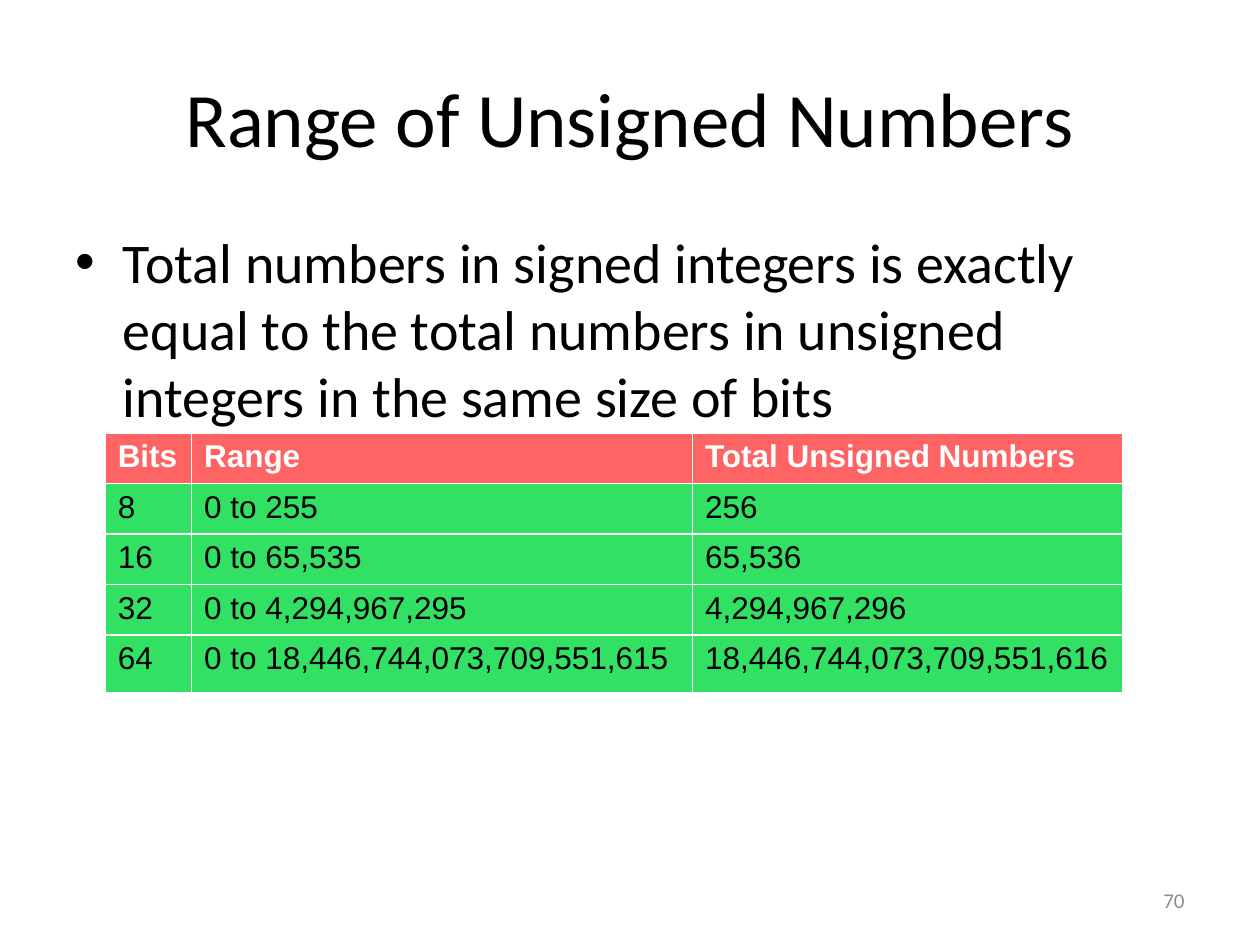
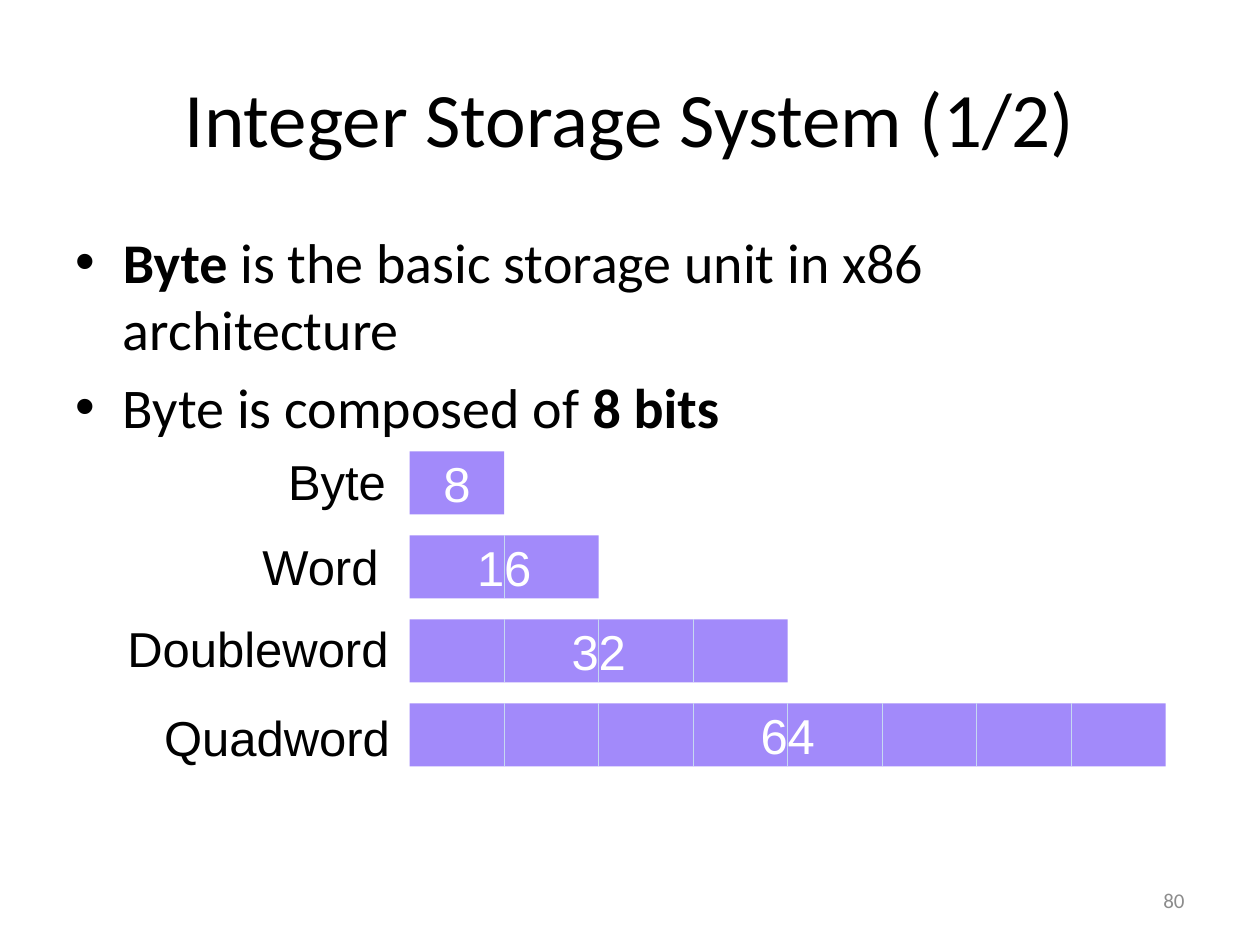
from lxml.etree import SubElement
from pptx import Presentation
from pptx.dml.color import RGBColor
from pptx.enum.shapes import MSO_CONNECTOR, MSO_SHAPE
from pptx.enum.text import MSO_ANCHOR, PP_ALIGN
from pptx.oxml.ns import qn
from pptx.util import Cm, Pt

BLACK = RGBColor(0x00, 0x00, 0x00)
WHITE = RGBColor(0xFF, 0xFF, 0xFF)
GRAY = RGBColor(0x8C, 0x8C, 0x8C)
RED = RGBColor(0xFF, 0x64, 0x64)
GREEN = RGBColor(0x32, 0xE1, 0x64)
PURPLE = RGBColor(0xA2, 0x8A, 0xFA)
PALE_BLUE = RGBColor(0xC6, 0xD9, 0xF1)

HEADING_FONT = "Calibri"
FIGURE_FONT = "Arial"

TITLE_BOX = (Cm(1.27), Cm(0.76), Cm(22.86), Cm(3.18))
BODY_BOX = (Cm(1.27), Cm(4.45), Cm(22.86), Cm(12.57))
NUMBER_BOX = (Cm(18.2), Cm(17.65), Cm(5.93), Cm(1.01))

RANGES = [
    ("Bits", "Range", "Total Unsigned Numbers"),
    ("8", "0 to 255", "256"),
    ("16", "0 to 65,535", "65,536"),
    ("32", "0 to 4,294,967,295", "4,294,967,296"),
    ("64", "0 to 18,446,744,073,709,551,615", "18,446,744,073,709,551,616"),
]

# name, size in bytes, label's right edge and top measured from the bar's corner
STORAGE_UNITS = [
    ("Byte", 1, Cm(-0.23), Cm(-0.12)),
    ("Word", 2, Cm(-0.38), Cm(-0.11)),
    ("Doubleword", 4, Cm(-0.18), Cm(-0.15)),
    ("Quadword", 8, Cm(-0.15), Cm(-0.05)),
]


def set_font(p, name, size, color, bold=None):
    p.font.name = name
    p.font.size = Pt(size)
    p.font.color.rgb = color
    p.font.bold = bold


def place(sp, box):
    sp.left, sp.top, sp.width, sp.height = box


def add_text(slide, box, text, font, size, color, anchor=MSO_ANCHOR.TOP):
    tf = slide.shapes.add_textbox(*box).text_frame
    tf.word_wrap = True
    tf.vertical_anchor = anchor
    p = tf.paragraphs[0]
    p.text = text
    p.alignment = PP_ALIGN.RIGHT
    set_font(p, font, size, color)


def add_base_slide(prs, title, bullets, number):
    """Add a slide with title, bullets of (text, bold) runs and page number."""
    slide = prs.slides.add_slide(prs.slide_layouts[1])
    heading, body = slide.placeholders
    place(heading, TITLE_BOX)
    p = heading.text_frame.paragraphs[0]
    p.text = title
    p.alignment = PP_ALIGN.CENTER
    set_font(p, HEADING_FONT, 44, BLACK)

    place(body, BODY_BOX)
    tf = body.text_frame
    for i, runs in enumerate(bullets):
        p = tf.add_paragraph() if i else tf.paragraphs[0]
        if i == 0:
            p.space_before = Pt(0)
        set_font(p, HEADING_FONT, 32, BLACK)
        for text, bold in runs:
            r = p.add_run()
            r.text = text
            if bold:
                r.font.bold = True

    add_text(slide, NUMBER_BOX, number, HEADING_FONT, 12, GRAY, MSO_ANCHOR.MIDDLE)
    return slide


def add_range_table(slide, left, top):
    widths = [Cm(1.74), Cm(10.1), Cm(8.68)]
    heights = [Cm(0.92)] * 4 + [Cm(1.16)]
    table = slide.shapes.add_table(len(heights), len(widths), left, top,
                                   sum(widths), sum(heights)).table
    table.horz_banding = False
    for column, width in zip(table.columns, widths):
        column.width = width
    for i, (row, height, values) in enumerate(zip(table.rows, heights, RANGES)):
        row.height = height
        header = i == 0
        for cell, value in zip(row.cells, values):
            cell.fill.solid()
            cell.fill.fore_color.rgb = RED if header else GREEN
            p = cell.text_frame.paragraphs[0]
            p.text = value
            set_font(p, FIGURE_FONT, 18, WHITE if header else BLACK, header)


def add_bar(slide, box, bits):
    bar = slide.shapes.add_shape(MSO_SHAPE.RECTANGLE, *box)
    bar.shadow.inherit = False
    bar.fill.solid()
    bar.fill.fore_color.rgb = PURPLE
    bar.line.fill.background()
    tf = bar.text_frame
    tf.vertical_anchor = MSO_ANCHOR.MIDDLE
    p = tf.paragraphs[0]
    p.text = str(bits)
    p.alignment = PP_ALIGN.CENTER
    set_font(p, FIGURE_FONT, 28, WHITE)
    return bar


def add_byte_dividers(slide, bar, count):
    """Split a bar into count bytes; the central line is joined to the bar."""
    for i in range(1, count):
        x = bar.left + bar.width * i // count
        line = slide.shapes.add_connector(MSO_CONNECTOR.STRAIGHT, x, bar.top,
                                          x, bar.top + bar.height)
        line.line.color.rgb = PALE_BLUE
        line.line.width = Pt(0.75)
        SubElement(line.element.spPr, qn("a:effectLst"))
        if 2 * i == count:
            line.begin_connect(bar, 0)
            line.end_connect(bar, 2)


def add_storage_diagram(slide, left, top):
    label_width, label_height = Cm(6.2), Cm(1.45)
    byte_width, bar_height, pitch = Cm(1.905), Cm(1.27), Cm(1.693)
    bar_left = left + label_width
    for i, (name, count, right, rise) in enumerate(STORAGE_UNITS):
        bar_top = top + i * pitch
        bar = add_bar(slide, (bar_left, bar_top, count * byte_width, bar_height),
                      8 * count)
        add_byte_dividers(slide, bar, count)
        add_text(slide, (left + right, bar_top + rise, label_width, label_height),
                 name, FIGURE_FONT, 28, BLACK)


def main():
    prs = Presentation()
    prs.slide_width, prs.slide_height = Cm(25.4), Cm(19.05)

    slide = add_base_slide(prs, "Range of Unsigned Numbers", [
        [("Total numbers in signed integers is exactly equal to the total "
          "numbers in unsigned integers in the same size of bits", False)],
    ], "70")
    add_range_table(slide, Cm(2.12), Cm(8.73))

    slide = add_base_slide(prs, "Integer Storage System (1/2)", [
        [("Byte", True),
         (" is the basic storage unit in x86 architecture", False)],
        [("Byte is composed of ", False), ("8 bits", True)],
    ], "80")
    add_storage_diagram(slide, Cm(2.06), Cm(9.1))

    prs.save("out.pptx")


if __name__ == "__main__":
    main()
